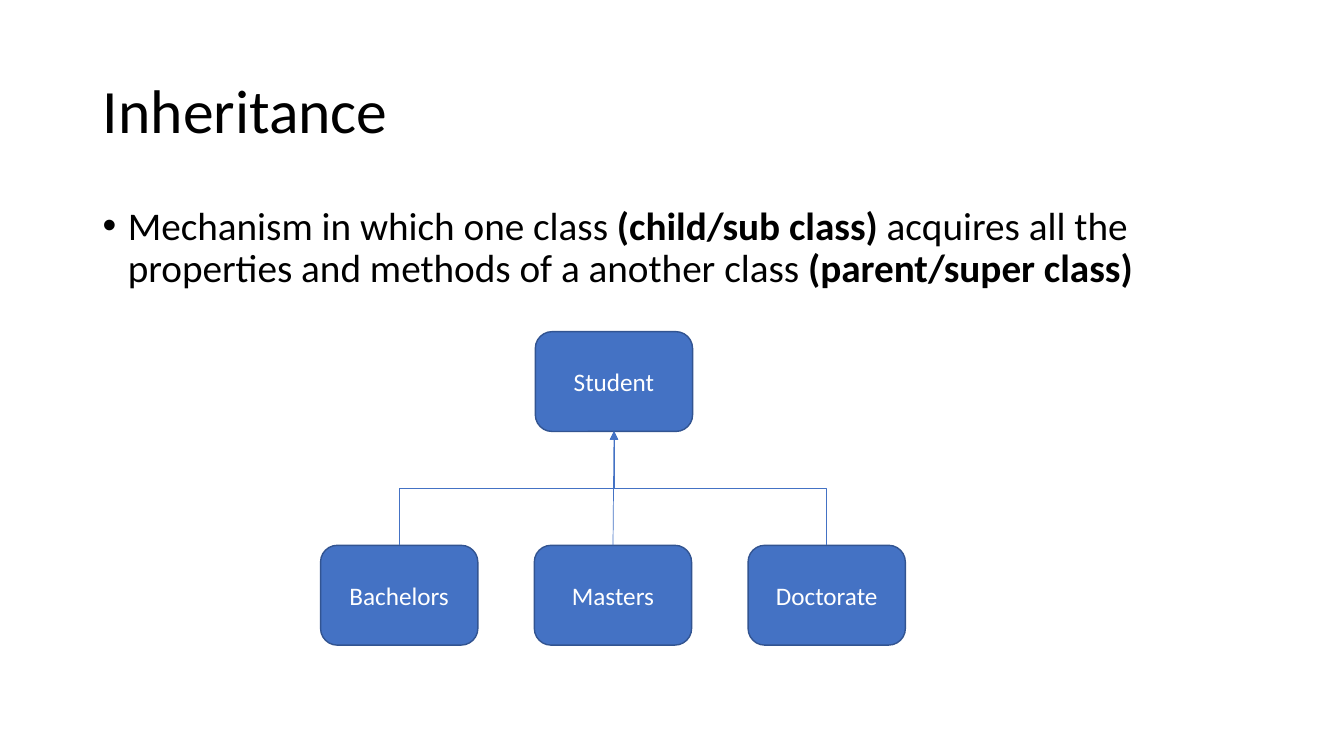
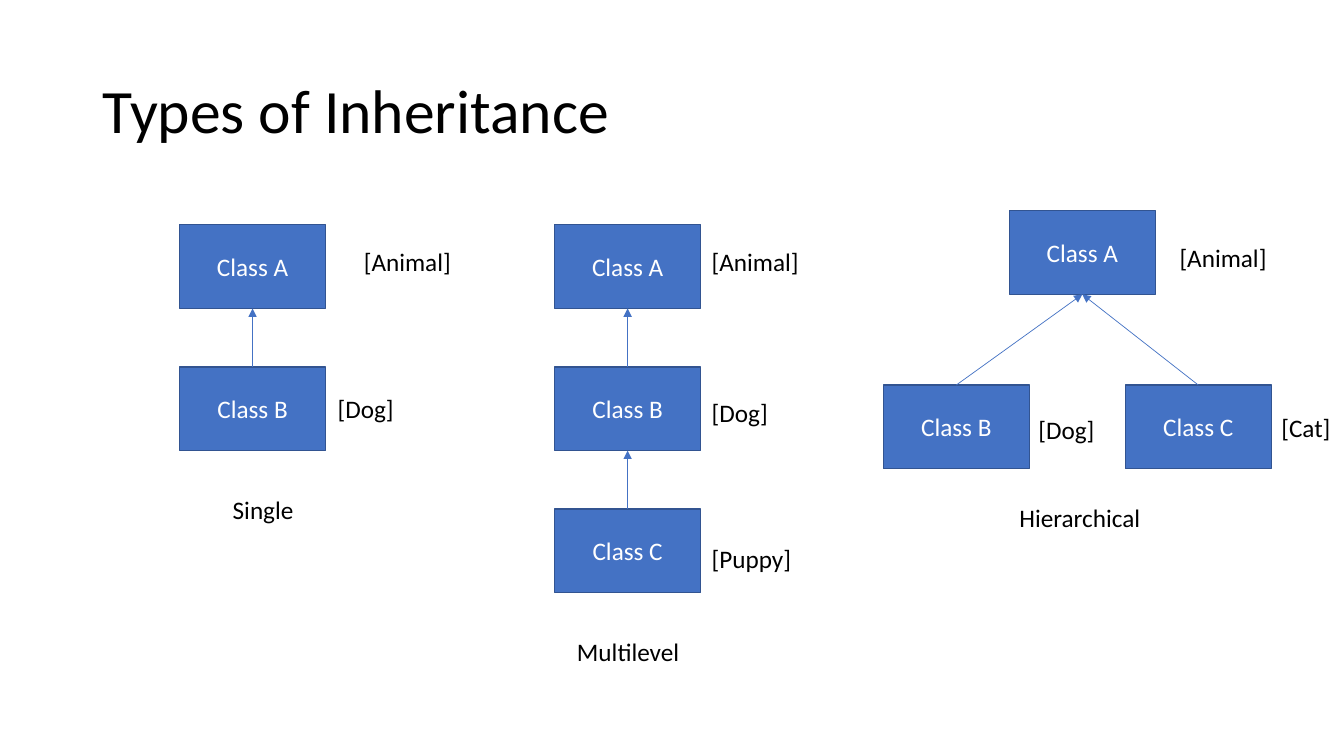
from lxml import etree
from pptx import Presentation
from pptx.dml.color import RGBColor
from pptx.enum import shapes, text
from pptx.oxml import ns
from pptx.util import Inches, Pt

COLORS = {"text": "000000", "box": "4472C4", "outline": "325491", "box_text": "FFFFFF"}
FONT = "Calibri"
TOP_SITE, BOTTOM_SITE = 0, 2


class Deck:
    def __init__(self):
        self.presentation = Presentation()
        self.presentation.slide_width = Inches(13.33)
        self.presentation.slide_height = Inches(7.5)
        self.slide = None

    def color(self, name):
        return RGBColor.from_string(COLORS[name])

    def style(self, paragraph, size, color="text", align=text.PP_ALIGN.LEFT):
        paragraph.alignment = align
        for run in paragraph.runs:
            run.font.name = FONT
            run.font.size = Pt(size)
            run.font.color.rgb = self.color(color)

    def add_slide(self, title):
        layout = self.presentation.slide_layouts[5]
        self.slide = self.presentation.slides.add_slide(layout)
        shape = self.slide.shapes.title
        shape.left, shape.top = Inches(0.92), Inches(0.4)
        shape.width, shape.height = Inches(11.5), Inches(1.45)
        frame = shape.text_frame
        frame.text = title
        frame.auto_size = text.MSO_AUTO_SIZE.NONE
        frame.vertical_anchor = text.MSO_ANCHOR.MIDDLE
        paragraph = frame.paragraphs[0]
        paragraph.line_spacing = 0.9
        self.style(paragraph, 44)

    def text_box(self, left, top, width, height):
        shape = self.slide.shapes.add_textbox(
            Inches(left), Inches(top), Inches(width), Inches(height))
        shape.text_frame.word_wrap = True
        return shape.text_frame

    def bullet(self, left, top, width, height, parts):
        paragraph = self.text_box(left, top, width, height).paragraphs[0]
        for wording, bold in parts:
            run = paragraph.add_run()
            run.text = wording
            run.font.bold = bold
        paragraph.line_spacing = 0.9
        paragraph.space_before = Pt(10)
        self.style(paragraph, 28)
        properties = paragraph._p.get_or_add_pPr()
        properties.set("marL", str(Inches(0.25)))
        properties.set("indent", str(Inches(-0.25)))
        etree.SubElement(properties, ns.qn("a:buFont"), typeface="Arial")
        etree.SubElement(properties, ns.qn("a:buChar"), char="•")

    def label(self, left, top, width, wording, align=text.PP_ALIGN.LEFT):
        frame = self.text_box(left, top, width, 0.4)
        frame.text = wording
        self.style(frame.paragraphs[0], 18, align=align)

    def caption(self, left, top, wording):
        self.label(left, top, 1.66, wording, text.PP_ALIGN.CENTER)

    def box(self, left, top, wording, size=(1.45, 0.83), kind=shapes.MSO_SHAPE.RECTANGLE):
        width, height = size
        shape = self.slide.shapes.add_shape(
            kind, Inches(left), Inches(top), Inches(width), Inches(height))
        shape.shadow.inherit = False
        shape.fill.solid()
        shape.fill.fore_color.rgb = self.color("box")
        shape.line.color.rgb = self.color("outline")
        shape.line.width = Pt(1)
        frame = shape.text_frame
        frame.text = wording
        frame.vertical_anchor = text.MSO_ANCHOR.MIDDLE
        self.style(frame.paragraphs[0], 18, "box_text", text.PP_ALIGN.CENTER)
        return shape

    def style_arrow(self, connector):
        connector.line.color.rgb = self.color("box")
        connector.line.width = Pt(0.5)
        line = connector.line._get_or_add_ln()
        etree.SubElement(line, ns.qn("a:tailEnd"), type="triangle")
        etree.SubElement(connector._element.spPr, ns.qn("a:effectLst"))

    def arrow(self, child, parent):
        connector = self.slide.shapes.add_connector(
            shapes.MSO_CONNECTOR.STRAIGHT, 0, 0, 0, 0)
        connector.begin_connect(child, TOP_SITE)
        connector.end_connect(parent, BOTTOM_SITE)
        self.style_arrow(connector)

    def elbow_arrow(self, child, parent):
        start_x = child.left + child.width // 2
        end_x = parent.left + parent.width // 2
        end_y = parent.top + parent.height
        run, rise = end_x - start_x, child.top - end_y
        middle_x, middle_y = (start_x + end_x) // 2, (child.top + end_y) // 2
        connector = self.slide.shapes.add_connector(
            shapes.MSO_CONNECTOR.ELBOW,
            middle_x - rise // 2, middle_y - run // 2,
            middle_x + rise // 2, middle_y + run // 2)
        connector._element.spPr.find(ns.qn("a:xfrm")).set("rot", str(270 * 60000))
        self.style_arrow(connector)


def build_inheritance(deck):
    deck.add_slide("Inheritance")
    deck.bullet(0.92, 2, 11.5, 1.1, [
        ("Mechanism in which one class ", False),
        ("(child/sub class) ", True),
        ("acquires all the properties and methods of a another class ", False),
        ("(parent/super class)", True),
    ])
    rounded = {"size": (1.56, 0.99), "kind": shapes.MSO_SHAPE.ROUNDED_RECTANGLE}
    student = deck.box(5.31, 3.29, "Student", **rounded)
    bachelors, masters, doctorate = [
        deck.box(3.18 + 2.12 * column, 5.41, wording, **rounded)
        for column, wording in enumerate(["Bachelors", "Masters", "Doctorate"])]
    deck.elbow_arrow(bachelors, student)
    deck.elbow_arrow(doctorate, student)
    deck.arrow(masters, student)


def build_types(deck):
    deck.add_slide("Types of Inheritance")
    chains = [(1.78, ["Class A", "Class B"]),
              (5.5, ["Class A", "Class B", "Class C"])]
    for left, names in chains:
        boxes = [deck.box(left, 2.23 + 1.41 * row, name) for row, name in enumerate(names)]
        for parent, child in zip(boxes, boxes[1:]):
            deck.arrow(child, parent)

    root = deck.box(10.01, 2.09, "Class A")
    for left, name in [(8.76, "Class B"), (11.16, "Class C")]:
        deck.arrow(deck.box(left, 3.82, name), root)

    for left, top, wording in [(1.78, 4.85, "Single"),
                               (5.4, 6.26, "Multilevel"),
                               (9.88, 4.93, "Hierarchical")]:
        deck.caption(left, top, wording)

    for left, top, width, wording in [
            (3.51, 2.39, 1.11, "[Animal]"), (3.25, 3.85, 0.82, "[Dog]"),
            (6.96, 2.39, 1.11, "[Animal]"), (6.96, 3.89, 0.82, "[Dog]"),
            (6.96, 5.34, 1.01, "[Puppy]"), (11.6, 2.35, 1.11, "[Animal]"),
            (10.2, 4.06, 0.82, "[Dog]"), (12.61, 4.04, 0.72, "[Cat]")]:
        deck.label(left, top, width, wording)


def main():
    deck = Deck()
    build_inheritance(deck)
    build_types(deck)
    deck.presentation.save("out.pptx")


if __name__ == "__main__":
    main()
